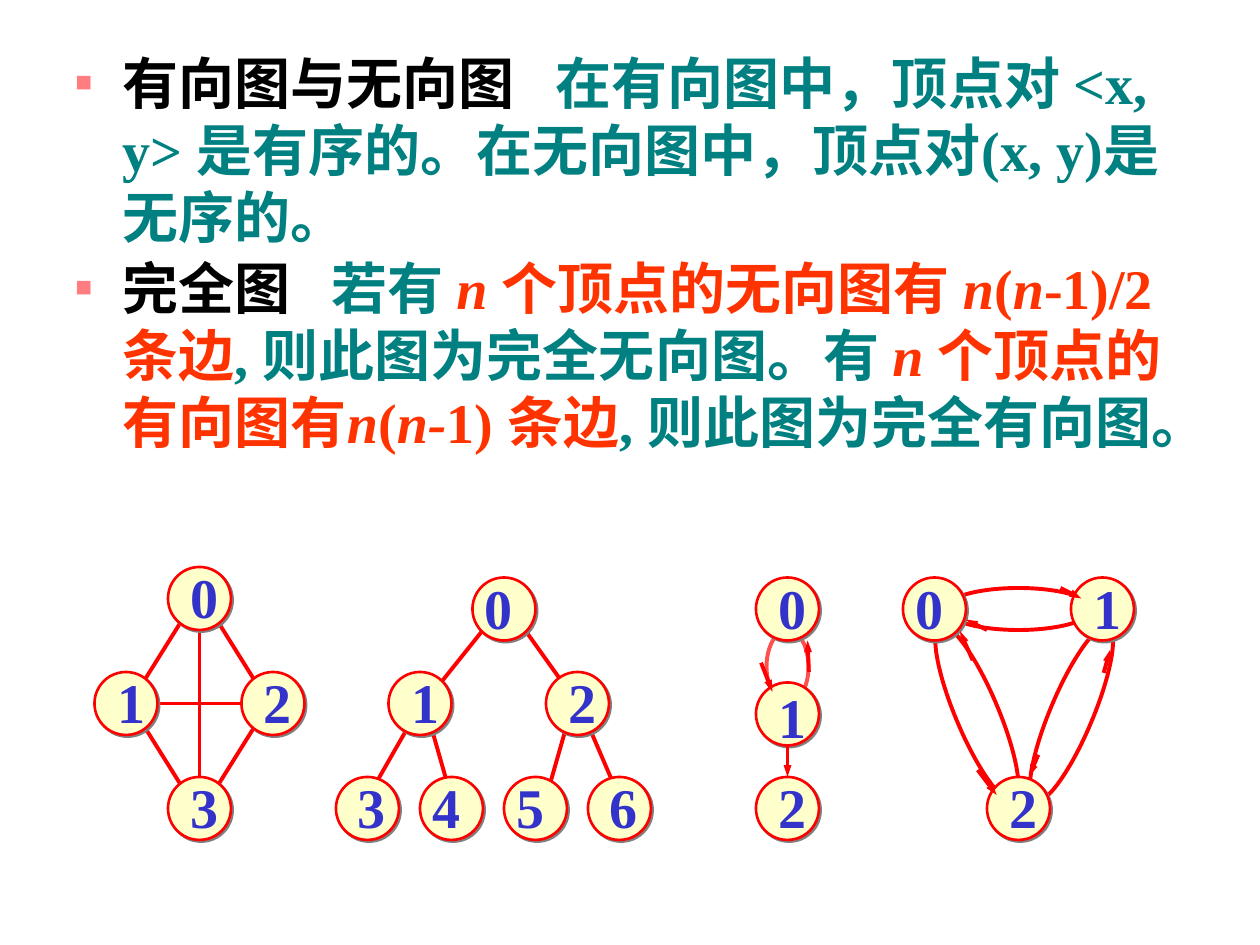
from lxml import etree
from pptx import Presentation
from pptx.dml.color import RGBColor
from pptx.enum.shapes import MSO_CONNECTOR, MSO_SHAPE
from pptx.enum.text import MSO_AUTO_SIZE
from pptx.oxml.ns import qn
from pptx.util import Pt

STRAIGHT = MSO_CONNECTOR.STRAIGHT
OVAL = MSO_SHAPE.OVAL
FONT, SIZE = "Times New Roman", 32
BLACK, TEAL, ORANGE = "000000", "008080", "FF3300"
RED, PINK, CREAM, BLUE = "FF0000", "FF5050", "FFFFCC", "3333CC"
NODE = 36
GAP = 16  # extra width of the space after a term

# Each definition: term, then (text, colour, italic)
DEFINITIONS = [
    ("有向图与无向图", [
        ("在有向图中，顶点对 <x, y> 是有序的。在无向图中，顶点对(x, y)是无序的。", TEAL, False),
    ]),
    ("完全图", [
        ("若有 ", TEAL, False),
        ("n ", ORANGE, True),
        ("个顶点的无向图有 ", ORANGE, False),
        ("n", ORANGE, True),
        ("(", ORANGE, False),
        ("n", ORANGE, True),
        ("-1)/2 条边", ORANGE, False),
        (", 则此图为完全无向图。有 ", TEAL, False),
        ("n ", ORANGE, True),
        ("个顶点的有向图有", ORANGE, False),
        ("n", ORANGE, True),
        ("(", ORANGE, False),
        ("n-", ORANGE, True),
        ("1) 条边", ORANGE, False),
        (", 则此图为完全有向图。", TEAL, False),
    ]),
]

# Vertices: number, left, top, label offset right and up
VERTICES = [
    ("0", 96, 324, 6, 6), ("1", 54, 384, 6, 6),
    ("2", 138, 384, 5.5, 6), ("3", 96, 444, 6, 6),
    ("0", 270, 330, 0, 6), ("1", 222, 384, 6, 6), ("2", 312, 384, 6, 6),
    ("3", 192, 444, 5.5, 6), ("4", 240, 444, 0, 6),
    ("5", 288, 444, 0, 6), ("6", 336, 444, 5.5, 6),
    ("0", 432, 330, 6, 6), ("1", 432, 390, 6, 3.5), ("2", 432, 444, 6, 6),
    ("0", 516, 330, 0, 6), ("1", 612, 330, 6, 6), ("2", 564, 444, 6, 6),
]

# Undirected edges: x1, y1, x2, y2
EDGES = [
    (300, 360, 330, 402), (324, 414, 312, 456), (336, 414, 354, 456),
    (276, 360, 252, 390), (246, 414, 258, 456), (234, 414, 210, 456),
    (78, 408, 108, 456), (120, 348, 150, 396), (150, 408, 120, 456),
    (108, 348, 78, 396), (84, 402, 150, 402), (114, 354, 114, 462),
]

# Curved edge pairs: left, top, width, height, rotation, colour
LOOPS = [
    (438, 360, 24, 42, 0, PINK),
    (600, 354, 24.5, 108, 22.8, RED),
    (546, 353.5, 24.5, 108, 337.2, RED),
    (540, 336, 84, 24, 0, RED),
]

# Directed edges and the heads of the curved ones
ARROWS = [
    (462.2, 384, 461.5, 366), (450, 426, 450, 444),
    (606, 336, 618, 342), (564, 360, 552, 354),
    (558.7, 440, 569.5, 454.3), (555.8, 377.3, 548.6, 360.7),
    (593.3, 431.3, 588.2, 443.5), (630.7, 384.5, 634.3, 371.5),
    (434.9, 378.7, 441.4, 395.3),
]


def rgb(value):
    return RGBColor.from_string(value)


def add_run(paragraph, text, color, italic=False):
    run = paragraph.add_run()
    run.text = text
    run.font.name, run.font.size = FONT, Pt(SIZE)
    run.font.bold, run.font.italic = True, italic
    run.font.color.rgb = rgb(color)
    return run


def add_bullet(paragraph):
    """Give the paragraph a small pink square and a hanging indent."""
    props = paragraph._p.get_or_add_pPr()
    props.set("marL", str(Pt(27)))
    props.set("indent", str(-Pt(27)))
    color = etree.SubElement(props, qn("a:buClr"))
    etree.SubElement(color, qn("a:srgbClr"), val="FF7C80")
    etree.SubElement(props, qn("a:buSzPct"), val="50000")
    etree.SubElement(props, qn("a:buFont"), typeface=FONT)
    etree.SubElement(props, qn("a:buChar"), char="■")


def add_definitions(slide):
    frame = slide.shapes.add_textbox(Pt(36), Pt(24), Pt(636), Pt(282)).text_frame
    frame.word_wrap = True
    for index, (term, parts) in enumerate(DEFINITIONS):
        paragraph = frame.add_paragraph() if index else frame.paragraphs[0]
        paragraph.space_before = Pt(2)
        add_bullet(paragraph)
        add_run(paragraph, term, BLACK)
        space = add_run(paragraph, " ", BLACK)
        space._r.get_or_add_rPr().set("spc", str(GAP * 100))
        for part in parts:
            add_run(paragraph, *part)


def add_edge(slide, ends, arrow=False):
    edge = slide.shapes.add_connector(STRAIGHT, *map(Pt, ends))
    edge.line.color.rgb = rgb(RED)
    edge.line.width = Pt(2.25)
    if arrow:
        etree.SubElement(edge.line._get_or_add_ln(), qn("a:tailEnd"),
                         type="triangle", w="sm", len="med")
    etree.SubElement(edge._element.spPr, qn("a:effectLst"))


def add_oval(slide, box, line, width, fill=None):
    oval = slide.shapes.add_shape(OVAL, *map(Pt, box))
    oval.shadow.inherit = False
    oval.line.color.rgb = rgb(line)
    oval.line.width = Pt(width)
    if fill:
        oval.fill.solid()
        oval.fill.fore_color.rgb = rgb(fill)
    else:
        oval.fill.background()
    return oval


def add_vertex(slide, left, top):
    vertex = add_oval(slide, (left, top, NODE, NODE), RED, 1.5, CREAM)
    effects = vertex._element.spPr.find(qn("a:effectLst"))
    shadow = etree.SubElement(effects, qn("a:outerShdw"), blurRad="0",
                              dist=str(Pt(1.4)), dir="2700000", algn="ctr")
    etree.SubElement(shadow, qn("a:srgbClr"), val="808080")


def add_label(slide, number, left, top):
    frame = slide.shapes.add_textbox(Pt(left), Pt(top), Pt(30.4), Pt(46)).text_frame
    frame.word_wrap = False
    frame.auto_size = MSO_AUTO_SIZE.SHAPE_TO_FIT_TEXT
    add_run(frame.paragraphs[0], number, BLUE)


def main():
    deck = Presentation()
    deck.slide_width, deck.slide_height = Pt(720), Pt(540)
    slide = deck.slides.add_slide(deck.slide_layouts[6])
    for *box, angle, color in LOOPS:
        add_oval(slide, box, color, 2.25).rotation = angle
    for ends in EDGES:
        add_edge(slide, ends)
    add_definitions(slide)
    for _, left, top, _, _ in VERTICES:
        add_vertex(slide, left, top)
    for ends in ARROWS:
        add_edge(slide, ends, arrow=True)
    for number, left, top, right, up in VERTICES:
        add_label(slide, number, left + right, top - up)
    deck.save("out.pptx")


if __name__ == "__main__":
    main()
